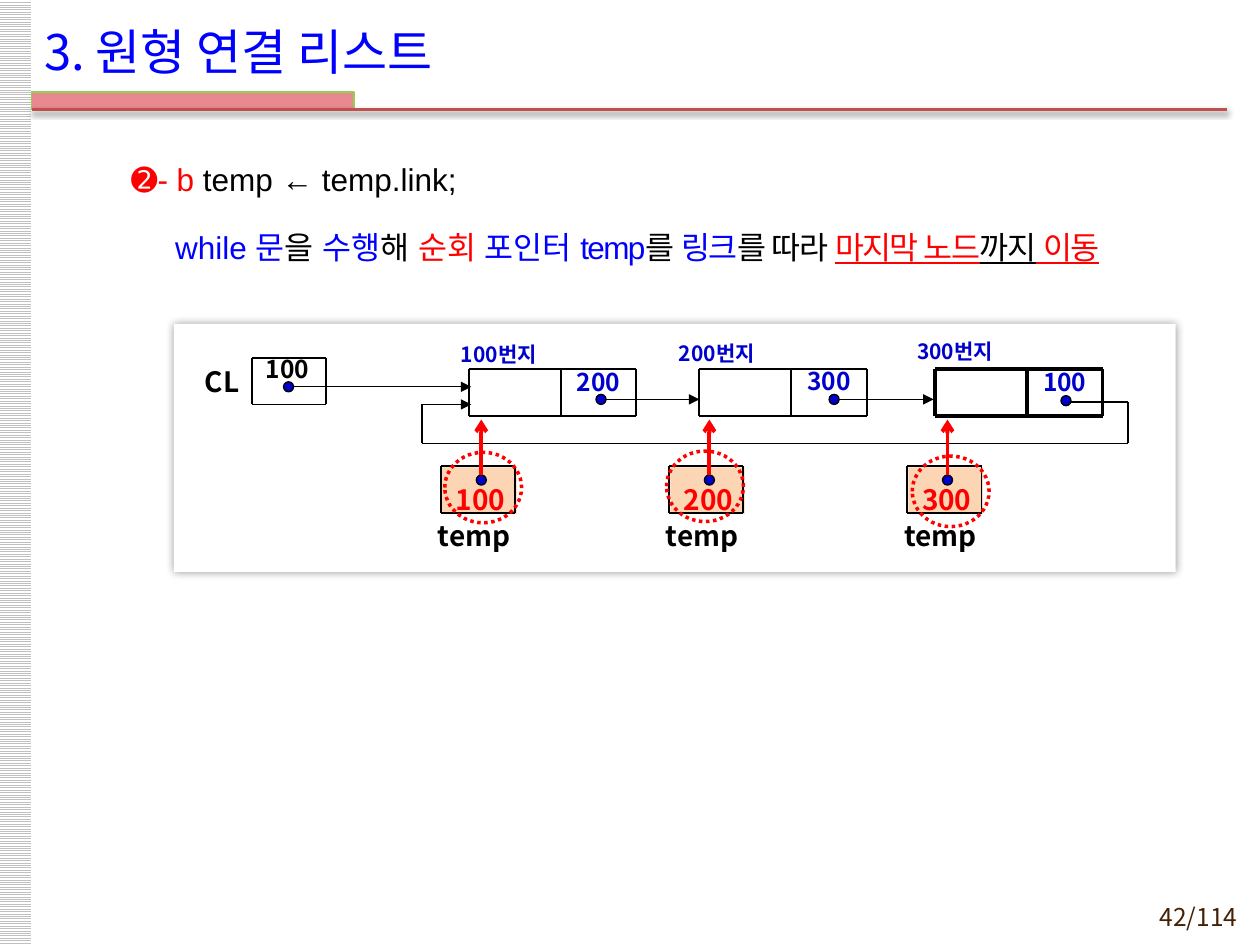
"""Build a slide on walking a circular linked list to its last node."""
from lxml import etree
from pptx import Presentation, util as u
from pptx.dml.color import RGBColor
from pptx.enum import dml, shapes, text
from pptx.oxml.ns import qn

COLORS = {
    "black": "000000", "white": "FFFFFF", "blue": "0000FF", "navy": "0000CC",
    "red": "FF0000", "peach": "FCD5B5", "pink": "EA8892", "green": "92D050",
    "rule": "C0504D", "silver": "C0C0C0", "brown": "452103",
}
KOREAN = "Noto Sans CJK KR"
LATIN = "Arial"


def rgb(name):
    return RGBColor.from_string(COLORS[name])


def add_run(p, words, size=14, font=KOREAN, color="black", bold=False, underline=False, spacing=0):
    r = p.add_run()
    r.text = words
    r.font.size, r.font.name = u.Pt(size), font
    r.font.bold, r.font.underline = bold, underline
    r.font.color.rgb = rgb(color)
    rPr = r.font._element
    if spacing:
        rPr.set("spc", str(spacing * 100))
    etree.SubElement(rPr, qn("a:ea")).set("typeface", font)
    return r


class Deck:
    """Holds the style and the current slide."""

    def __init__(self):
        self.prs = Presentation()
        self.prs.slide_width, self.prs.slide_height = u.Inches(10), u.Inches(7.5)
        self.s = self.prs.slides.add_slide(self.prs.slide_layouts[1])

    def place(self, sp, x, y, w, h):
        sp.left, sp.top, sp.width, sp.height = map(u.Inches, (x, y, w, h))

    def effects(self, sp, blur=0, dist=0, angle=0, alpha=0):
        lst = etree.SubElement(sp._element.spPr, qn("a:effectLst"))
        if blur:
            shadow = etree.SubElement(
                lst, qn("a:outerShdw"), blurRad=str(u.Pt(blur)), dist=str(u.Pt(dist)),
                dir=str(angle * 60000), algn="ctr", rotWithShape="0")
            color = etree.SubElement(shadow, qn("a:srgbClr"), val=COLORS["black"])
            etree.SubElement(color, qn("a:alpha"), val=str(alpha * 1000))

    def shape(self, kind, x, y, w, h, fill=None, line=None, width=0.75, dash=None, pattern=None, **shadow):
        sp = self.s.shapes.add_shape(kind, *map(u.Inches, (x, y, w, h)))
        if pattern:
            sp.fill.patterned()
            sp.fill.pattern = pattern
            sp.fill.fore_color.rgb, sp.fill.back_color.rgb = rgb(fill), rgb("white")
        elif fill:
            sp.fill.solid()
            sp.fill.fore_color.rgb = rgb(fill)
        else:
            sp.fill.background()
        if line:
            sp.line.color.rgb, sp.line.width = rgb(line), u.Pt(width)
            if dash:
                sp.line.dash_style = dash
        else:
            sp.line.fill.background()
        self.effects(sp, **shadow)
        return sp

    def rect(self, *box, **style):
        return self.shape(shapes.MSO_SHAPE.RECTANGLE, *box, **style)

    def oval(self, *box, **style):
        return self.shape(shapes.MSO_SHAPE.OVAL, *box, **style)

    def dot(self, x, y):
        self.oval(x, y, 0.08, 0.08, fill="navy", line="black")

    def line(self, x1, y1, x2, y2, color="black", width=1, head=None, **shadow):
        c = self.s.shapes.add_connector(
            shapes.MSO_CONNECTOR.STRAIGHT, *map(u.Inches, (x1, y1, x2, y2)))
        c.line.color.rgb, c.line.width = rgb(color), u.Pt(width)
        if head:
            etree.SubElement(c._element.spPr.find(qn("a:ln")), qn("a:tailEnd"), type=head)
        self.effects(c, **shadow)

    def frame(self, x, y, w, h, width=1, divider=None):
        for row in (y, y + h):
            self.line(x, row, x + w, row, width=width)
        for dx in (0, divider, w):
            if dx is not None:
                self.line(x + dx, y, x + dx, y + h, width=width)

    def label(self, words, x, y, w, h, right=False, insets=(0.1, 0.05, 0, 0.05), **style):
        tf = self.s.shapes.add_textbox(*map(u.Inches, (x, y, w, h))).text_frame
        tf.word_wrap = True
        tf.vertical_anchor = text.MSO_ANCHOR.MIDDLE
        tf.margin_left, tf.margin_top, tf.margin_right, tf.margin_bottom = map(u.Inches, insets)
        p = tf.paragraphs[0]
        p.alignment = text.PP_ALIGN.RIGHT if right else text.PP_ALIGN.LEFT
        add_run(p, words, **style)

    def name(self, words, x, y, w):
        self.label(words, x, y, w, 0.38, right=True, insets=(0, 0, 0, 0.05), size=16, bold=True)

    def title(self, words):
        sp = self.s.shapes.title
        self.place(sp, 0.25, 0.09, 8.27, 0.63)
        tf = sp.text_frame
        tf.auto_size = text.MSO_AUTO_SIZE.NONE
        tf.vertical_anchor = text.MSO_ANCHOR.MIDDLE
        tf.paragraphs[0].alignment = text.PP_ALIGN.LEFT
        add_run(tf.paragraphs[0], words, size=28, color="blue")

    def body(self, paragraphs):
        sp = self.s.placeholders[1]
        self.place(sp, 0.25, 1.02, 9.5, 6.25)
        tf = sp.text_frame
        tf.auto_size = text.MSO_AUTO_SIZE.NONE
        tf.margin_top = u.Inches(0.1)
        for i, (margin, runs) in enumerate(paragraphs):
            p = tf.add_paragraph() if i else tf.paragraphs[0]
            p.level = 2
            pPr = p._p.get_or_add_pPr()
            pPr.set("marL", str(u.Inches(margin)))
            pPr.set("indent", "0")
            etree.SubElement(pPr, qn("a:buNone"))
            p.line_spacing = 1.5
            p.space_before, p.space_after = u.Pt(3.6 if i else 0), u.Pt(3)
            for words, color, *style in runs:
                add_run(p, words, size=18, font=LATIN, color=color, **(style[0] if style else {}))

    def node(self, x, address, label_x, label_y, link, link_y, width=1):
        self.frame(x, 2.93, 1.33, 0.37, width, divider=0.73)
        self.label(address, label_x, label_y, 0.96, 0.18, size=12, color="navy", bold=True)
        self.label(link, x + 0.76, link_y, 0.56, 0.18, color="navy", bold=True)

    def pointer(self, x, value):
        self.rect(x + 0.01, 3.71, 0.59, 0.37, fill="peach")
        self.name("temp", x - 0.05, 4.08, 0.6)
        self.frame(x, 3.7, 0.59, 0.37)
        self.label(value, x + 0.02, 3.86, 0.63, 0.21, size=16, color="red", bold=True)
        self.dot(x + 0.28, 3.77)
        self.line(x + 0.32, 3.77, x + 0.32, 3.33, color="red", width=2.25, head="arrow")


def main():
    d = Deck()
    d.rect(-0.01, 0, 0.26, 7.5, fill="silver", pattern=dml.MSO_PATTERN.LIGHT_HORIZONTAL)
    d.label("42/114", 8.86, 7.13, 1.06, 0.29, right=True, insets=(0.1, 0.05, 0.1, 0.05), color="brown")
    d.rect(0.25, 0.73, 2.56, 0.14, fill="pink", line="green")
    d.line(0.25, 0.87, 9.74, 0.87, color="rule", width=2, blur=3.1, dist=1.6, angle=90, alpha=38)

    tight = {"spacing": -1}
    marked = {"spacing": -1, "underline": True}
    d.title("3. 원형 연결 리스트")
    d.body([
        (0.69, [("➋- b", "red"), (" temp ← temp.link;", "black")]),
        (1.04, [("while 문", "blue"), ("을 ", "black"), ("수행", "blue"), ("해 ", "black"),
                ("순회 ", "red"), ("포인터 ", "blue"), ("temp", "blue", tight),
                ("를 ", "black", tight), ("링크", "blue", tight), ("를 따라 ", "black", tight),
                ("마지막 노드", "red", marked), ("까지", "black", marked), (" 이동", "red", marked)]),
    ])

    d.rect(1.38, 2.57, 7.95, 1.97, fill="white", blur=5, alpha=40)
    d.name("CL", 1.44, 2.86, 0.46)
    d.frame(2, 2.84, 0.59, 0.37)
    d.label("100", 2.01, 2.84, 0.56, 0.18, bold=True)

    d.node(3.72, "100번지", 3.56, 2.72, "200", 2.94)
    d.node(5.55, "200번지", 5.29, 2.71, "300", 2.93)
    d.node(7.42, "300번지", 7.18, 2.7, "100", 2.94, width=2.25)

    for x, y, end in ((2.25, 3.03, 3.74), (4.73, 3.13, 5.55), (6.58, 3.13, 7.41)):
        d.dot(x, y)
        d.line(x + 0.08, y + 0.04, end, y + 0.04, width=0.75, head="triangle")

    d.dot(8.42, 3.14)
    loop = [(8.5, 3.19), (8.95, 3.19), (8.95, 3.52), (3.35, 3.52), (3.35, 3.21), (3.74, 3.21)]
    for start, end in zip(loop, loop[1:]):
        d.line(*start, *end, head="triangle" if end == loop[-1] else None)

    for x, value in ((3.5, "100"), (5.31, "200"), (7.2, "300")):
        d.pointer(x, value)
    for x, y in ((3.53, 3.59), (5.29, 3.58), (7.24, 3.62)):
        d.oval(x, y, 0.61, 0.56, line="red", width=2, dash=dml.MSO_LINE.ROUND_DOT)

    d.prs.save("out.pptx")


if __name__ == "__main__":
    main()
